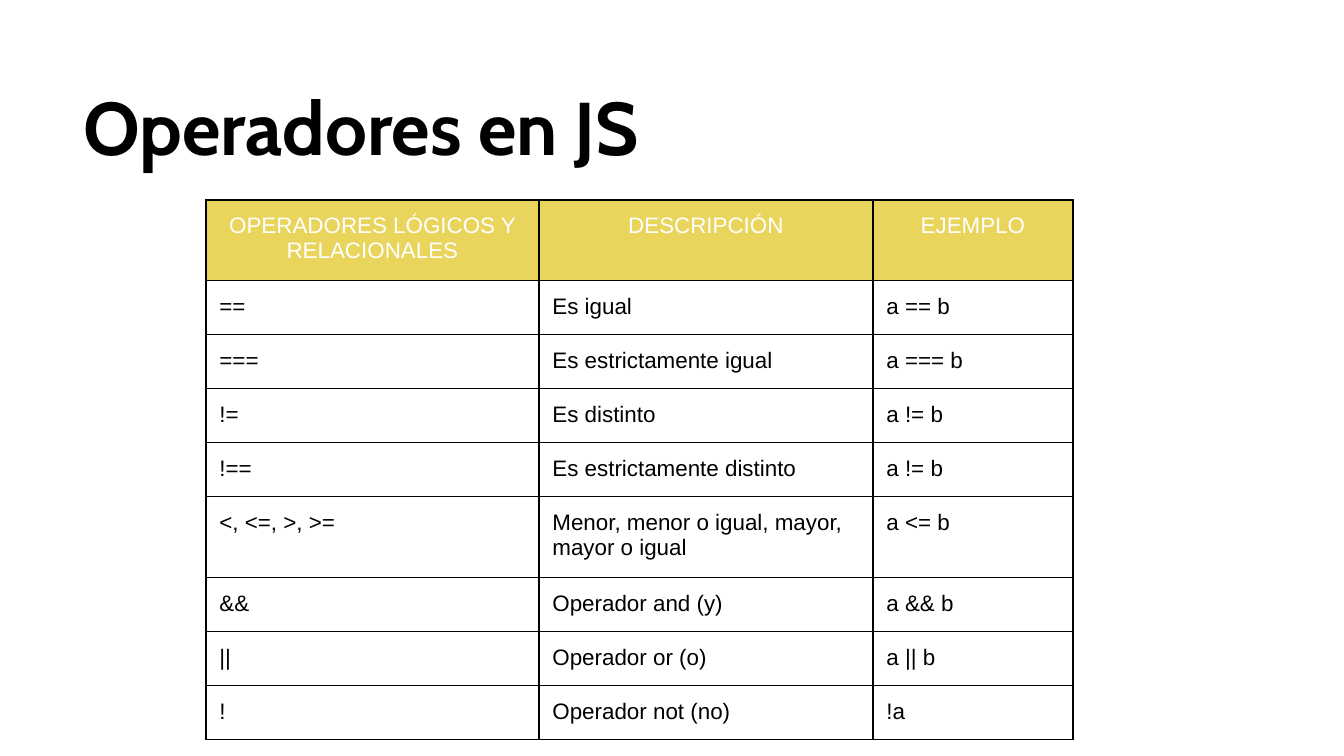
from pptx import Presentation
from pptx import util as u
from pptx.dml.color import RGBColor
from pptx.enum import text
from pptx.oxml import parse_xml
from pptx.oxml.ns import nsdecls

SCALE = 914400 / 134.4
PAD = u.Inches(0.1)


def px(n):
    return u.Emu(round(n * SCALE))


def write(par, words, font, size, color, bold=False):
    run = par.add_run()
    run.text = words
    run.font.name = font
    run.font.size = u.Pt(size)
    run.font.bold = bold
    run.font.color.rgb = RGBColor.from_string(color)


deck = Presentation()
deck.slide_width, deck.slide_height = px(1344), px(756)
slide = deck.slides.add_slide(deck.slide_layouts[6])

# Title
title = slide.shapes.add_textbox(px(70), px(78), px(1196), px(109))
frame = title.text_frame
frame.word_wrap = True
frame.auto_size = text.MSO_AUTO_SIZE.SHAPE_TO_FIT_TEXT
frame.margin_left = frame.margin_right = PAD
frame.margin_top = frame.margin_bottom = PAD
frame.paragraphs[0].line_spacing = 0.9
write(frame.paragraphs[0], "Operadores en JS", "Cabin", 40, "000000", True)

# Operator table
rows = [
    ("OPERADORES LÓGICOS Y RELACIONALES", "DESCRIPCIÓN", "EJEMPLO"),
    ("==", "Es igual", "a == b"),
    ("===", "Es estrictamente igual", "a === b"),
    ("!=", "Es distinto", "a != b"),
    ("!==", "Es estrictamente distinto", "a != b"),
    ("<, <=, >, >=", "Menor, menor o igual, mayor, mayor o igual", "a <= b"),
    ("&&", "Operador and (y)", "a && b"),
    ("||", "Operador or (o)", "a || b"),
    ("!", "Operador not (no)", "!a"),
]
widths = [333, 334, 200]
heights = [54] * len(rows)
heights[5] = 78

table = slide.shapes.add_table(
    len(rows), len(widths), px(206), px(200), px(sum(widths)), px(sum(heights))
).table
table.horz_banding = False
for col, width in zip(table.columns, widths):
    col.width = px(width)

for r, row in enumerate(rows):
    table.rows[r].height = px(heights[r])
    for c, words in enumerate(row):
        cell = table.cell(r, c)
        cell.margin_left = cell.margin_right = PAD
        cell.margin_top = cell.margin_bottom = PAD
        par = cell.text_frame.paragraphs[0]
        props = cell._tc.get_or_add_tcPr()
        for side in ("lnL", "lnR", "lnT", "lnB"):
            props.append(parse_xml(
                f'<a:{side} {nsdecls("a")} w="{u.Pt(0.75)}"><a:solidFill>'
                f'<a:srgbClr val="000000"/></a:solidFill></a:{side}>'
            ))
        if r == 0:
            cell.fill.solid()
            cell.fill.fore_color.rgb = RGBColor.from_string("E9D45C")
            par.alignment = text.PP_ALIGN.CENTER
        else:
            cell.fill.background()
        write(par, words, "Arial", 12, "000000" if r else "FFFFFF")

deck.save("out.pptx")
